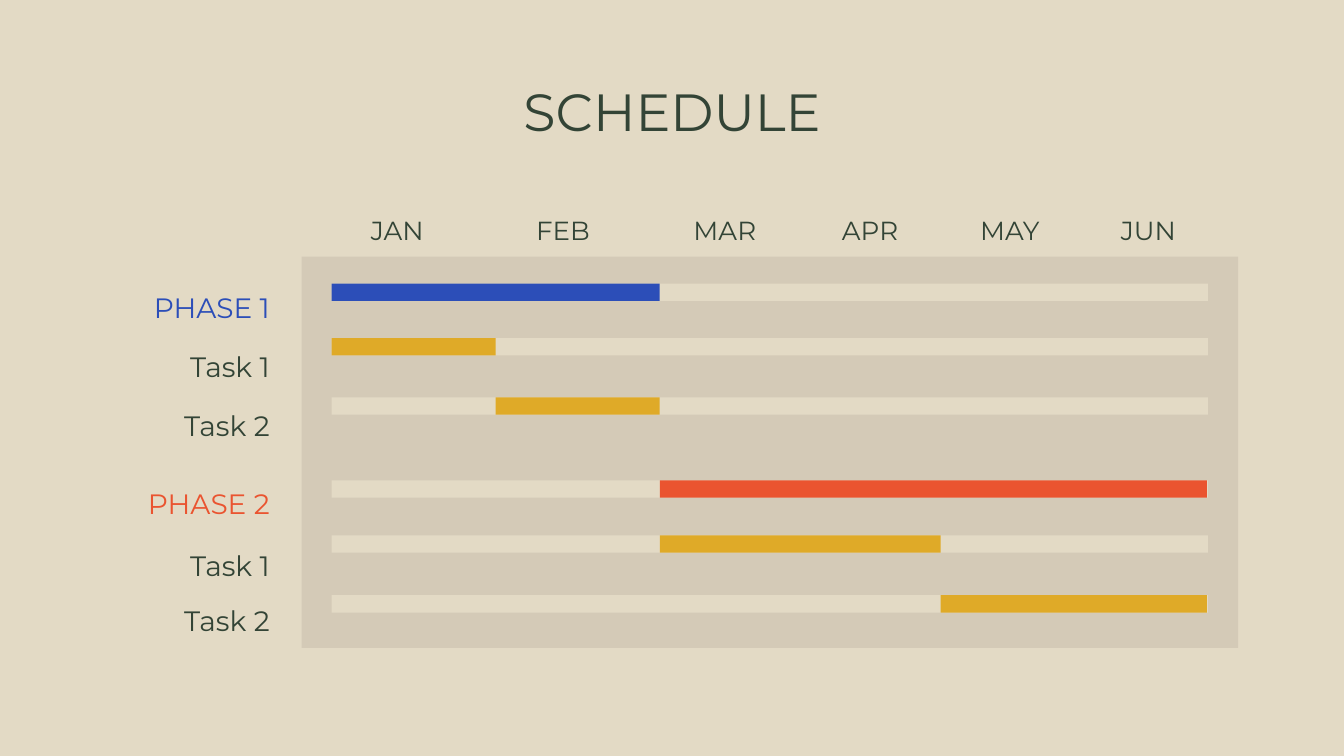
from pptx import Presentation
from pptx.dml.color import RGBColor
from pptx.enum.shapes import MSO_SHAPE
from pptx.enum.text import MSO_ANCHOR, MSO_AUTO_SIZE, PP_ALIGN
from pptx.util import Cm, Pt

RECT = MSO_SHAPE.RECTANGLE
TOP, MIDDLE = MSO_ANCHOR.TOP, MSO_ANCHOR.MIDDLE
CENTER, RIGHT = PP_ALIGN.CENTER, PP_ALIGN.RIGHT
NO_FIT = MSO_AUTO_SIZE.NONE
FONT = "Montserrat"
COLORS = {
    "background": "E3DAC5",
    "panel": "D4CAB7",
    "text": "334436",
    "phase1": "2C4EB8",
    "phase2": "EA5430",
    "task": "DFAA28",
}

MONTHS = [
    ("JAN", 0, 2.62),
    ("FEB", 3.02, 2.84),
    ("MAR", 6.27, 2.46),
    ("APR", 9.14, 2.21),
    ("MAY", 11.78, 2.21),
    ("JUN", 14.4, 2.21),
]

# label, label color, label top, label height, bar top, bar start, bar end, bar color
ROWS = [
    ("PHASE 1", "phase1", 0.53, 0.61, 0.51, 0, 6.2, "phase1"),
    ("Task 1", "text", 1.6, 0.61, 1.54, 0, 3.1, "task"),
    ("Task 2", "text", 2.72, 0.61, 2.66, 3.1, 6.2, "task"),
    ("PHASE 2", "phase2", 4.24, 0.61, 4.23, 6.2, 16.54, "phase2"),
    ("Task 1", "text", 5.36, 0.61, 5.27, 6.2, 11.51, "task"),
    ("Task 2", "text", 6.48, 0.43, 6.4, 11.51, 16.54, "task"),
]


def rgb(name):
    return RGBColor.from_string(COLORS[name])


def set_text(sp, text, size, color, align, anchor, margins):
    tf = sp.text_frame
    tf.word_wrap = True
    tf.auto_size = NO_FIT
    tf.vertical_anchor = anchor
    tf.margin_left, tf.margin_top, tf.margin_right, tf.margin_bottom = map(Cm, margins)
    p = tf.paragraphs[0]
    p.text = text
    p.alignment = align
    p.font.name = FONT
    p.font.size = Pt(size)
    p.font.color.rgb = rgb(color)
    return p


def add_rect(shapes, x, y, w, h, color):
    sp = shapes.add_shape(RECT, Cm(x), Cm(y), Cm(w), Cm(h))
    sp.shadow.inherit = False
    sp.fill.solid()
    sp.fill.fore_color.rgb = rgb(color)
    sp.line.fill.background()


def place_title(s, x, y, w, h):
    sp = s.shapes.title
    sp.left, sp.top, sp.width, sp.height = Cm(x), Cm(y), Cm(w), Cm(h)
    set_text(sp, "SCHEDULE", 28, "text", CENTER, TOP, (0.25, 0.25, 0.25, 0.25))


def add_months(s, x, y, h):
    for month, dx, w in MONTHS:
        sp = s.shapes.add_textbox(Cm(x + dx), Cm(y), Cm(w), Cm(h))
        p = set_text(sp, month, 14, "text", CENTER, TOP, (0, 0, 0, 0))
        p.space_after = Pt(16)


def add_labels(s, x, y, w):
    for label, color, dy, h, *_ in ROWS:
        sp = s.shapes.add_textbox(Cm(x), Cm(y + dy), Cm(w), Cm(h))
        p = set_text(sp, label, 15, color, RIGHT, MIDDLE, (0, 0.25, 0, 0))
        p.space_after = Pt(16)
        if label.startswith("Task"):
            p.line_spacing = 1.15


def add_timeline(s, x, y, w, h, inset=0.57, bar_h=0.33):
    shapes = s.shapes.add_group_shape().shapes
    add_rect(shapes, x, y, w, h, "panel")
    left = x + inset
    for *_, dy, start, end, color in ROWS:
        add_rect(shapes, left, y + dy, w - 2 * inset, bar_h, "background")
        add_rect(shapes, left + start, y + dy, end - start, bar_h, color)


def main():
    prs = Presentation()
    prs.slide_width, prs.slide_height = Cm(25.4), Cm(14.29)
    s = prs.slides.add_slide(prs.slide_layouts.get_by_name("Title Only"))
    s.background.fill.solid()
    s.background.fill.fore_color.rgb = rgb("background")
    place_title(s, 2, 1.24, 21.4, 1.6)
    add_months(s, 6.2, 4.06, 0.53)
    add_labels(s, 2, 4.85, 3.1)
    add_timeline(s, 5.7, 4.85, 17.7, 7.4)
    prs.save("out.pptx")


if __name__ == "__main__":
    main()
